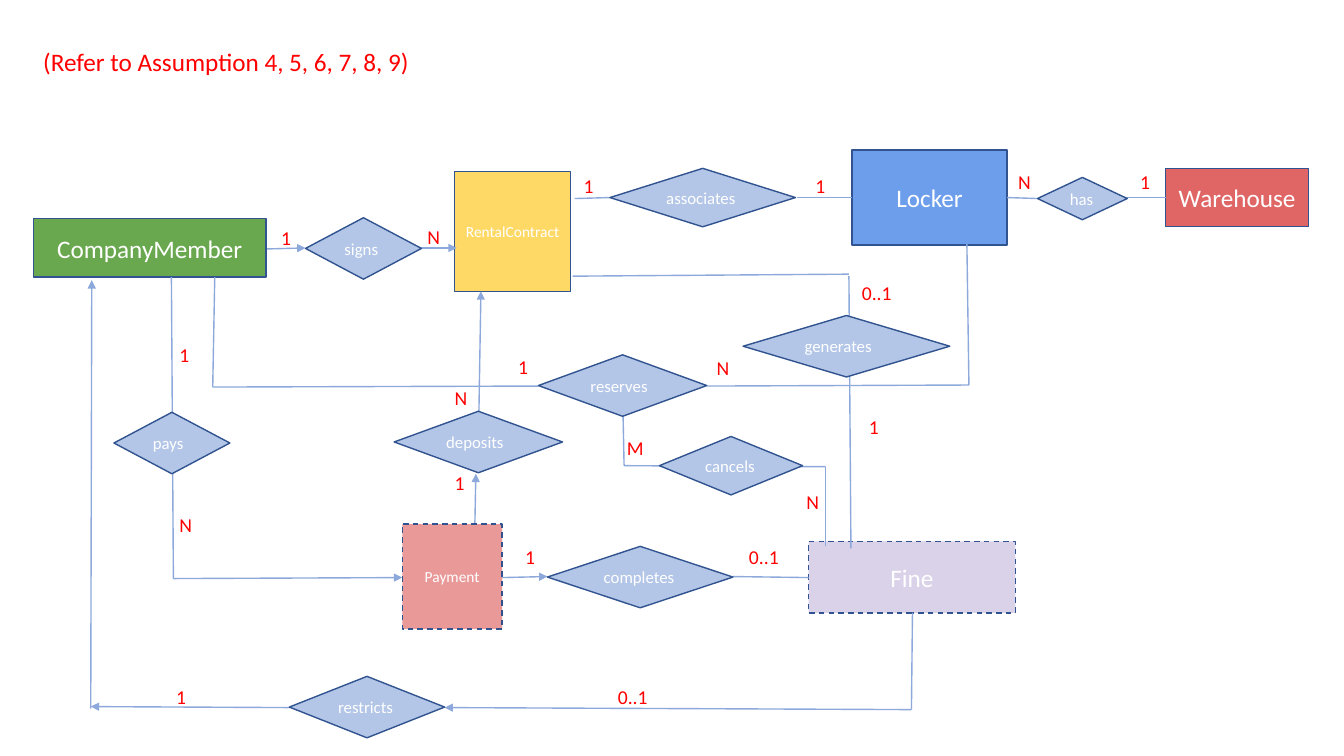
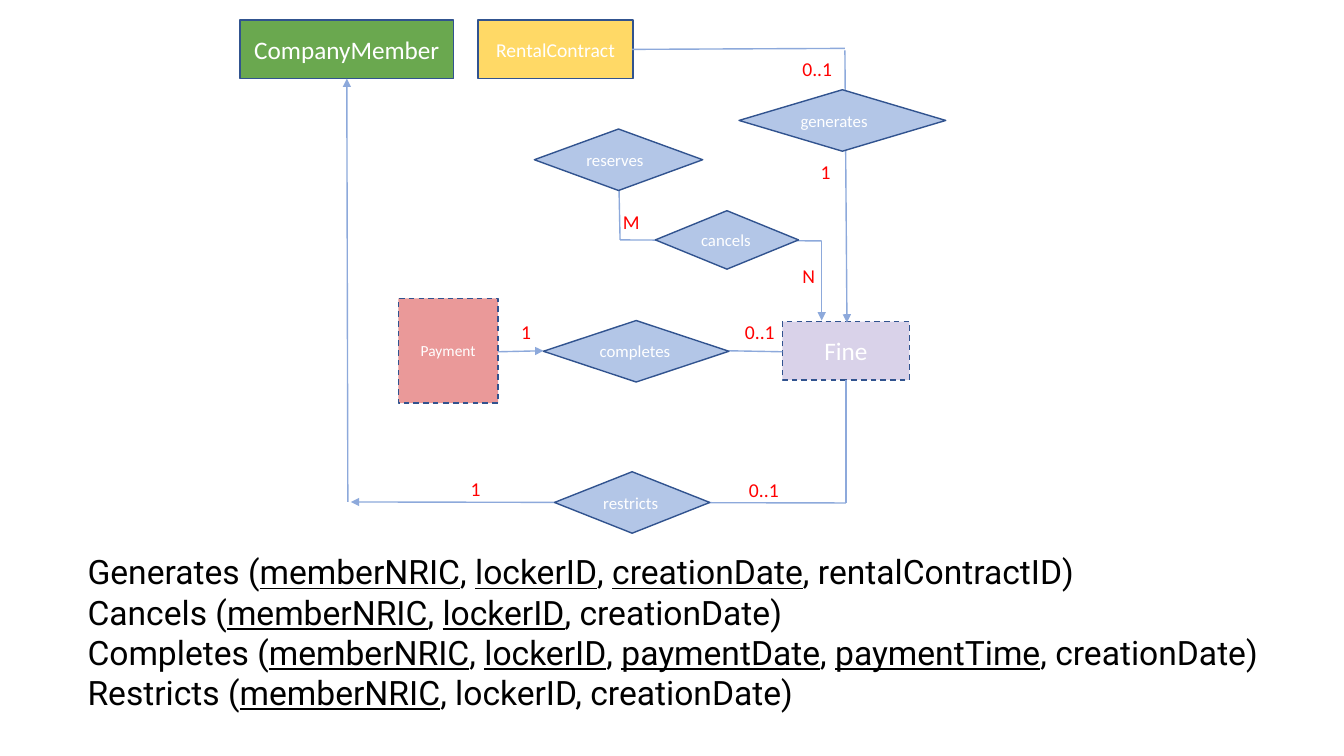
import dataclasses

import pptx
import pptx.dml.color
import pptx.enum.dml
import pptx.enum.shapes
import pptx.enum.text
import pptx.oxml.ns
import pptx.oxml.xmlchemy
import pptx.util
from lxml import etree

Inches = pptx.util.Inches
Pt = pptx.util.Pt
SHAPE = pptx.enum.shapes.MSO_SHAPE
ALIGN = pptx.enum.text.PP_ALIGN
ANCHOR = pptx.enum.text.MSO_ANCHOR


@dataclasses.dataclass(frozen=True)
class Theme:
    green: str = "6AA84F"
    yellow: str = "FFD966"
    blue: str = "6D9EEB"
    red: str = "E06666"
    pink: str = "EA9999"
    lilac: str = "D9D2E9"
    gem: str = "B3C6E7"
    edge: str = "31538F"
    link: str = "8DA9DB"
    mark: str = "FF0000"
    white: str = "FFFFFF"
    ink: str = "000000"
    face: str = "Calibri"
    prose: str = "Roboto"
    big: int = 18
    mid: int = 14
    verb: int = 12
    small: int = 11
    body: int = 24


T = Theme()


def rgb(code):
    return pptx.dml.color.RGBColor.from_string(code)


def style(para, size, color, face=T.face):
    para.font.name = face
    para.font.size = Pt(size)
    para.font.color.rgb = rgb(color)


def inset(frame, side, ends):
    frame.word_wrap = True
    frame.margin_left = frame.margin_right = Inches(side)
    frame.margin_top = frame.margin_bottom = Inches(ends)


class Board:
    """A region of a slide; all positions are relative to its corner."""

    def __init__(self, slide, left=0, top=0):
        self.shapes = slide.shapes
        self.left, self.top = left, top

    def spot(self, x, y):
        return Inches(self.left + x), Inches(self.top + y)

    def node(self, kind, text, box, fill, size, align, dash=False):
        x, y, w, h = box
        shape = self.shapes.add_shape(kind, *self.spot(x, y), Inches(w), Inches(h))
        shape.shadow.inherit = False
        shape.fill.solid()
        shape.fill.fore_color.rgb = rgb(fill)
        shape.line.color.rgb = rgb(T.edge)
        shape.line.width = Pt(1)
        if dash:
            shape.line.dash_style = pptx.enum.dml.MSO_LINE.DASH
        frame = shape.text_frame
        inset(frame, 0.1, 0.05)
        frame.vertical_anchor = ANCHOR.MIDDLE
        para = frame.paragraphs[0]
        para.text = text
        para.alignment = align
        style(para, size, T.white)

    def entity(self, text, box, fill, size=T.big, dash=False):
        self.node(SHAPE.RECTANGLE, text, box, fill, size, ALIGN.CENTER, dash)

    def verbs(self, *items):
        """Relationship diamonds, each a name and its box."""
        for text, *box in items:
            self.node(SHAPE.FLOWCHART_DECISION, text, box, T.gem, T.verb, ALIGN.LEFT)

    def link(self, *stops, arrow=False):
        """Straight segments through the stops, with a head on the last."""
        for start, end in zip(stops, stops[1:]):
            line = self.shapes.add_connector(
                pptx.enum.shapes.MSO_CONNECTOR.STRAIGHT,
                *self.spot(*start), *self.spot(*end))
            line.line.color.rgb = rgb(T.link)
            line.line.width = Pt(1)
            props = line._element.spPr
            if arrow and end == stops[-1]:
                tip = etree.SubElement(props.find(pptx.oxml.ns.qn("a:ln")),
                                       pptx.oxml.ns.qn("a:tailEnd"))
                tip.set("type", "triangle")
            etree.SubElement(props, pptx.oxml.ns.qn("a:effectLst"))

    def text(self, x, y, w, h):
        frame = self.shapes.add_textbox(
            *self.spot(x, y), Inches(w), Inches(h)).text_frame
        inset(frame, 0.1, 0.1)
        return frame

    def marks(self, *items):
        """Cardinalities, each a text and its corner."""
        for text, x, y in items:
            para = self.text(x, y, 0.7, 0.42).paragraphs[0]
            para.text = text
            style(para, T.mid, T.mark)


def fines(slide, left, top, edge, arrow):
    """Relationships around Fine, whose left side is at edge."""
    board = Board(slide, left, top)
    board.entity("Payment", (0, 2.07, 0.99, 1.04), T.pink, T.small, dash=True)
    board.link((4.43, -0.39), (4.45, 2.31), arrow=arrow)
    board.link((2.19, 1), (2.2, 1.49), (4.2, 1.5), (4.2, 2.29), arrow=arrow)
    board.link((0.99, 2.6), (1.44, 2.59), arrow=True)
    board.link((3.28, 2.59), (edge - left, 2.6))
    board.verbs(
        ("generates", 3.38, 0, 2.05, 0.61),
        ("reserves", 1.35, 0.39, 1.67, 0.61),
        ("cancels", 2.55, 1.2, 1.42, 0.58),
        ("completes", 1.44, 2.29, 1.84, 0.61))
    board.marks(("M", 2.13, 1.09), ("N", 3.91, 1.63),
                ("1", 1.12, 2.18), ("0..1", 3.34, 2.18))


def overview(slide):
    board = Board(slide)
    title = board.text(0.33, 0.36, 5.52, 0.6).paragraphs[0]
    title.text = "(Refer to Assumption 4, 5, 6, 7, 8, 9)"
    style(title, T.big, T.mark)

    board.entity("CompanyMember", (0.33, 2.17, 2.31, 0.58), T.green)
    board.entity("RentalContract", (4.51, 1.7, 1.15, 1.19), T.yellow, T.small)
    board.entity("Locker", (8.45, 1.49, 1.54, 0.94), T.blue)
    board.entity("Warehouse", (11.56, 1.67, 1.42, 0.58), T.red)
    board.entity("Fine", (8.02, 5.37, 2.05, 0.71), T.lilac, dash=True)

    for stops in (
            [(5.7, 1.97), (6.05, 1.96)],
            [(7.9, 1.96), (8.45, 1.96)],
            [(9.99, 1.96), (10.29, 1.97)],
            [(11.15, 1.96), (11.56, 1.96)],
            [(5.68, 2.74), (8.42, 2.72)],
            [(2.13, 2.75), (2.11, 3.84), (5.34, 3.83)],
            [(9.59, 2.42), (9.61, 3.82), (7.01, 3.83)]):
        board.link(*stops)
    for stops in (
            [(2.65, 2.47), (3.03, 2.46)],
            [(4.15, 2.46), (4.53, 2.46)],
            [(1.7, 2.75), (1.72, 5.74), (3.99, 5.73)],
            [(4.71, 5.2), (4.72, 4.7)],
            [(4.75, 4.08), (4.77, 2.89)],
            [(9.05, 6.08), (9.04, 7.04), (4.41, 7.02)],
            [(2.87, 7.02), (0.9, 7.01)],
            [(0.9, 7.03), (0.91, 2.78)]):
        board.link(*stops, arrow=True)

    fines(slide, 3.99, 3.13, edge=8.02, arrow=False)
    board.verbs(
        ("signs", 3.03, 2.16, 1.15, 0.61),
        ("associates", 6.05, 1.67, 1.84, 0.58),
        ("has", 10.29, 1.76, 0.89, 0.42),
        ("pays", 1.13, 4.09, 1.15, 0.61),
        ("deposits", 3.91, 4.08, 1.67, 0.61),
        ("restricts", 2.87, 6.71, 1.54, 0.61))
    board.marks(
        ("1", 2.69, 2.14), ("N", 4.14, 2.13),
        ("1", 5.69, 1.63), ("1", 7.99, 1.63),
        ("N", 10, 1.59), ("1", 11.21, 1.59),
        ("1", 1.68, 3.3), ("N", 1.68, 4.99),
        ("1", 5.04, 3.42), ("N", 7.01, 3.43),
        ("N", 4.41, 3.73), ("1", 4.41, 4.57),
        ("0..1", 8.45, 2.69), ("1", 8.52, 4.02),
        ("1", 1.65, 6.69), ("0..1", 6.03, 6.69))


def schema(board, box, lines):
    """Relations as text; names between bars are underlined keys."""
    frame = board.text(*box)
    for index, line in enumerate(lines):
        para = frame.add_paragraph() if index else frame.paragraphs[0]
        style(para, T.body, T.ink, T.prose)
        for turn, part in enumerate(line.split("|")):
            run = para.add_run()
            run.text = part
            if turn % 2:
                run.font.underline = True


def detail(slide):
    board = Board(slide)
    board.entity("CompanyMember", (2.38, 0.2, 2.12, 0.58), T.green)
    board.entity("RentalContract", (4.74, 0.2, 1.54, 0.58), T.yellow, T.mid)
    board.entity("Fine", (7.76, 3.19, 1.26, 0.58), T.lilac, dash=True)
    board.link((6.27, 0.49), (8.38, 0.48))
    board.link((8.39, 3.77), (8.39, 4.99), (3.48, 4.98), arrow=True)
    board.link((3.45, 4.98), (3.44, 0.78), arrow=True)
    fines(slide, 3.95, 0.89, edge=7.76, arrow=True)
    board.verbs(("restricts", 5.5, 4.68, 1.54, 0.61))
    board.marks(("0..1", 7.86, 0.46), ("1", 8.04, 1.49),
                ("1", 4.57, 4.63), ("0..1", 7.33, 4.64))
    schema(board, (0.77, 5.37, 11.9, 1.99), (
        "Generates (|memberNRIC|, |lockerID|, |creationDate|, rentalContractID)",
        "Cancels (|memberNRIC|, |lockerID|, creationDate)",
        "Completes (|memberNRIC|, |lockerID|, |paymentDate|, |paymentTime|, creationDate)",
        "Restricts (|memberNRIC|, lockerID, creationDate)"))


def main():
    deck = pptx.Presentation()
    deck.slide_width, deck.slide_height = Inches(13.33), Inches(7.5)
    for build in (overview, detail):
        build(deck.slides.add_slide(deck.slide_layouts[6]))
    deck.save("out.pptx")


if __name__ == "__main__":
    main()
